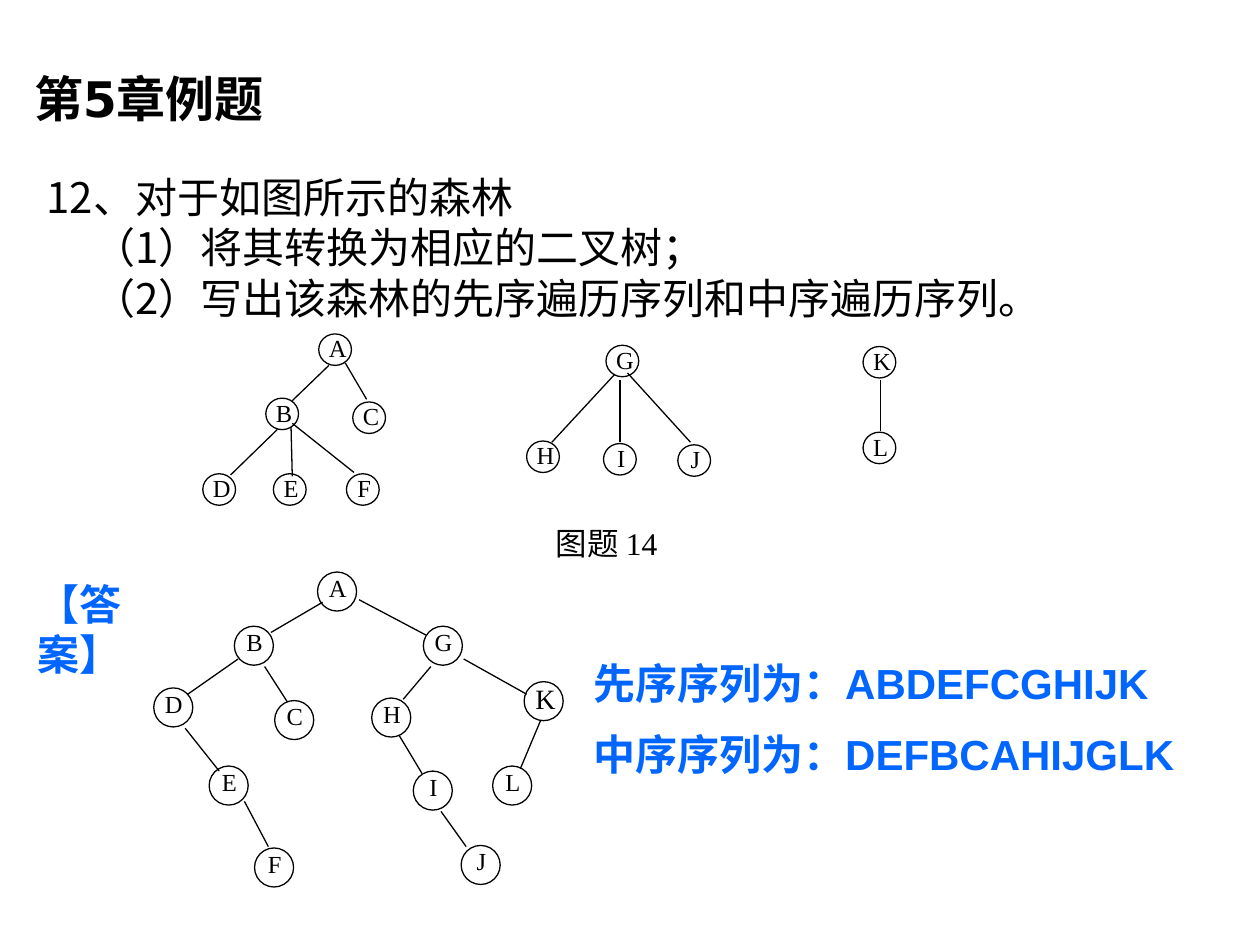
"""Build the chapter 5 example slide: a forest, its binary tree and both traversals."""
from pptx import Presentation
from pptx.dml.color import RGBColor
from pptx.enum.shapes import MSO_CONNECTOR, MSO_SHAPE
from pptx.enum.text import MSO_ANCHOR, MSO_AUTO_SIZE, PP_ALIGN
from pptx.oxml.ns import qn
from pptx.util import Inches, Pt

OVAL, RECT, STRAIGHT = MSO_SHAPE.OVAL, MSO_SHAPE.RECTANGLE, MSO_CONNECTOR.STRAIGHT
CENTER, JUSTIFY, LEFT = PP_ALIGN.CENTER, PP_ALIGN.JUSTIFY, PP_ALIGN.LEFT
TOP, MIDDLE = MSO_ANCHOR.TOP, MSO_ANCHOR.MIDDLE
GROW, FIXED = MSO_AUTO_SIZE.SHAPE_TO_FIT_TEXT, MSO_AUTO_SIZE.NONE

THEME = {
    "ink": RGBColor(0, 0, 0), "paper": RGBColor(255, 255, 255), "answer": RGBColor(0, 0x66, 0xFF),
    "cjk": "Noto Sans CJK SC", "title_font": "DejaVu Sans",
    "answer_font": "Arial", "figure_font": "Times New Roman",
    "title": 28, "text": 24, "caption": 18, "big_node": 16, "node": 14, "line": 0.75,
}

prs = Presentation()
prs.slide_width, prs.slide_height = Inches(10), Inches(7.5)
cell = prs.slide_width // 1000
slide = prs.slides.add_slide(prs.slide_layouts[1])


def place(*columns_and_rows):
    return [cell * count for count in columns_and_rows]


def style(paragraph, font_name, size, color="ink", bold=False, align=LEFT, before=0):
    paragraph.alignment = align
    paragraph.space_before = Pt(before)
    for run in paragraph.runs:
        run.font.size, run.font.bold = Pt(size), bold
        run.font.color.rgb = THEME[color]
        run.font.name = font_name
        east_asian = run.font._element.makeelement(qn("a:ea"), {"typeface": THEME["cjk"]})
        run.font._element.append(east_asian)


title = slide.shapes.title
title.left, title.top, title.width, title.height = place(17, 47, 223, 62)
title.text_frame.text = "第5章例题"
title.text_frame.word_wrap = False
title.text_frame.auto_size = FIXED
title.text_frame.vertical_anchor = MIDDLE
style(title.text_frame.paragraphs[0], THEME["title_font"], THEME["title"], bold=True)

question = slide.placeholders[1]
question.left, question.top, question.width, question.height = place(27, 131, 933, 131)
question.text_frame.text = "12、对于如图所示的森林\n（1）将其转换为相应的二叉树；\n（2）写出该森林的先序遍历序列和中序遍历序列。"
question.text_frame.auto_size = GROW
for number, paragraph in enumerate(question.text_frame.paragraphs):
    properties = paragraph._p.get_or_add_pPr()
    properties.set("marL", str(cell * 37 if number else 0))
    properties.set("indent", "0")
    properties.append(properties.makeelement(qn("a:buNone"), {}))
    style(paragraph, THEME["cjk"], THEME["text"], align=JUSTIFY)

answers = [
    ((20, 454, 142, 50), "【答案】", LEFT),
    ((461, 517, 517, 110), "先序序列为：ABDEFCGHIJK\n中序序列为：DEFBCAHIJGLK", JUSTIFY),
]
for area, wording, align in answers:
    answer = slide.shapes.add_textbox(*place(*area)).text_frame
    answer.text = wording
    answer.word_wrap, answer.auto_size = True, GROW
    for number, paragraph in enumerate(answer.paragraphs):
        style(paragraph, THEME["answer_font"], THEME["text"], "answer", True, align,
              THEME["text"] / 2 if number else 0)

forest = {
    "node": (26, 25), "label": (8, 4, 12, 16), "big": "",
    "caption": [("图题 14", (415, 418, 133, 22), THEME["caption"], 0.96)],
    "nodes": {"A": (253, 265), "B": (211, 316), "C": (280, 319), "E": (217, 376),
              "F": (275, 376), "D": (161, 376), "G": (481, 274), "H": (418, 350),
              "I": (479, 352), "J": (538, 353), "K": (685, 275), "L": (685, 343)},
    "branches": [(261, 290, 232, 318), (274, 288, 291, 317), (220, 341, 183, 377),
                 (231, 339, 232, 378), (232, 336, 281, 375), (488, 297, 438, 351),
                 (492, 302, 492, 351), (498, 296, 548, 351), (699, 302, 699, 342)],
}
binary_tree = {
    "node": (31, 31), "label": (9, 5, 14, 20), "big": "K", "caption": [],
    "nodes": {"A": (252, 454), "B": (186, 497), "C": (218, 556), "E": (166, 608),
              "F": (202, 673), "D": (122, 546), "G": (336, 497), "H": (295, 554),
              "I": (328, 612), "J": (366, 671), "K": (416, 541), "L": (391, 608)},
    "branches": [(256, 478, 215, 502), (189, 523, 149, 551), (210, 529, 228, 557),
                 (147, 578, 174, 612), (194, 636, 213, 672), (285, 476, 338, 504),
                 (368, 523, 418, 551), (342, 529, 320, 555), (317, 584, 335, 614),
                 (429, 572, 413, 610), (350, 644, 370, 672)],
}

for figure in (forest, binary_tree):
    drawing = slide.shapes.add_group_shape().shapes
    labels = list(figure["caption"])
    dx, dy, label_width, label_height = figure["label"]
    for letter, (x, y) in figure["nodes"].items():
        node = drawing.add_shape(OVAL, *place(x, y, *figure["node"]))
        node.shadow.inherit = False
        node.fill.solid()
        node.fill.fore_color.rgb = THEME["paper"]
        node.line.color.rgb = THEME["ink"]
        node.line.width = Pt(THEME["line"])
        size = THEME["big_node" if letter == figure["big"] else "node"]
        labels.append((letter, (x + dx, y + dy, label_width, label_height), size, 0.8))
    for wording, area, size, spacing in labels:
        label = drawing.add_shape(RECT, *place(*area))
        label.shadow.inherit = False
        label.fill.solid()
        label.fill.fore_color.rgb = THEME["paper"]
        label.line.fill.background()
        frame = label.text_frame
        frame.margin_left = frame.margin_right = frame.margin_top = frame.margin_bottom = 0
        frame.vertical_anchor, frame.word_wrap = TOP, True
        frame.text = wording
        frame.paragraphs[0].line_spacing = spacing
        style(frame.paragraphs[0], THEME["figure_font"], size, align=CENTER)
    for ends in figure["branches"]:
        branch = drawing.add_connector(STRAIGHT, *place(*ends))
        branch.line.color.rgb = THEME["ink"]
        branch.line.width = Pt(THEME["line"])
        effects = branch._element.spPr.makeelement(qn("a:effectLst"), {})
        branch._element.spPr.append(effects)

prs.save("out.pptx")
